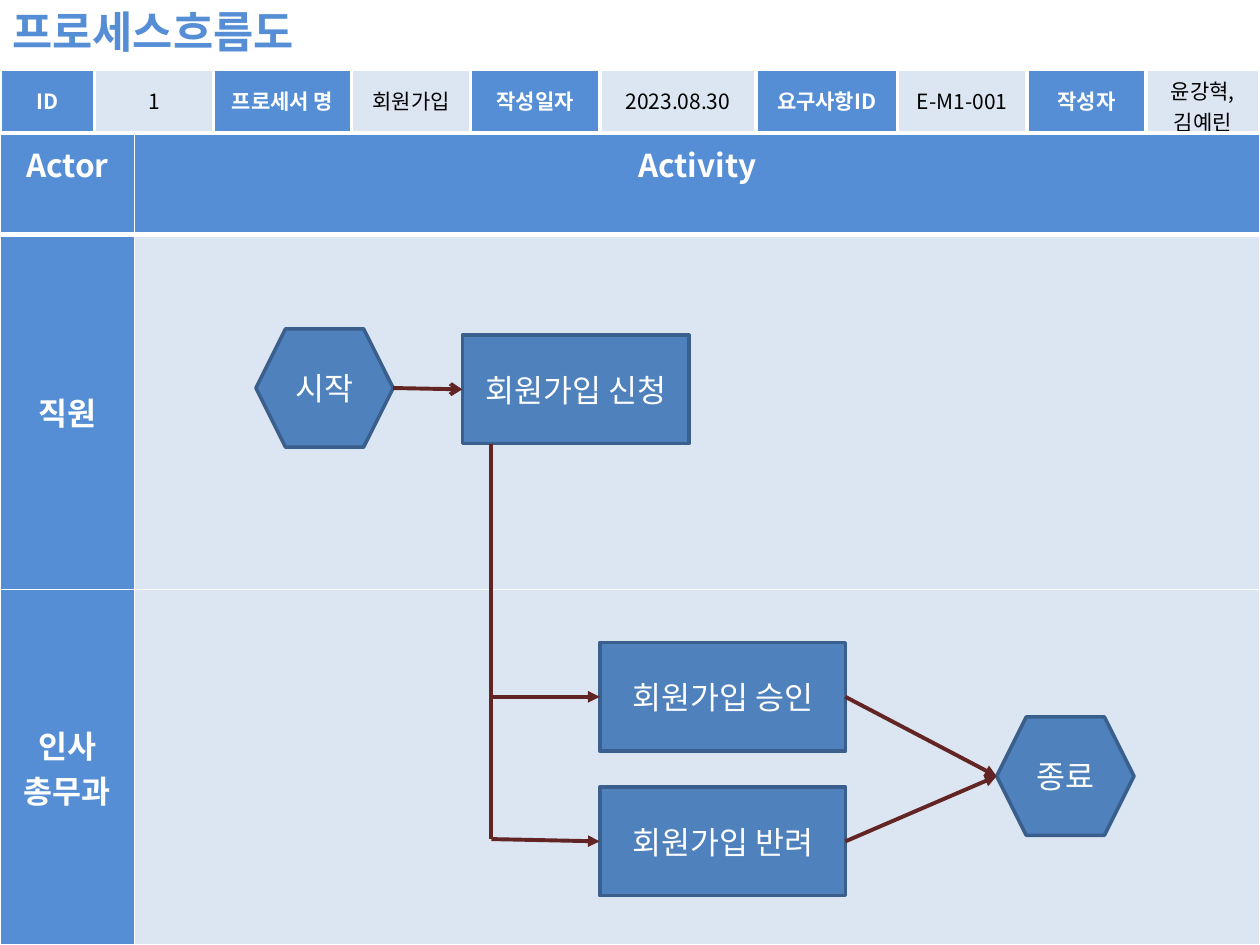
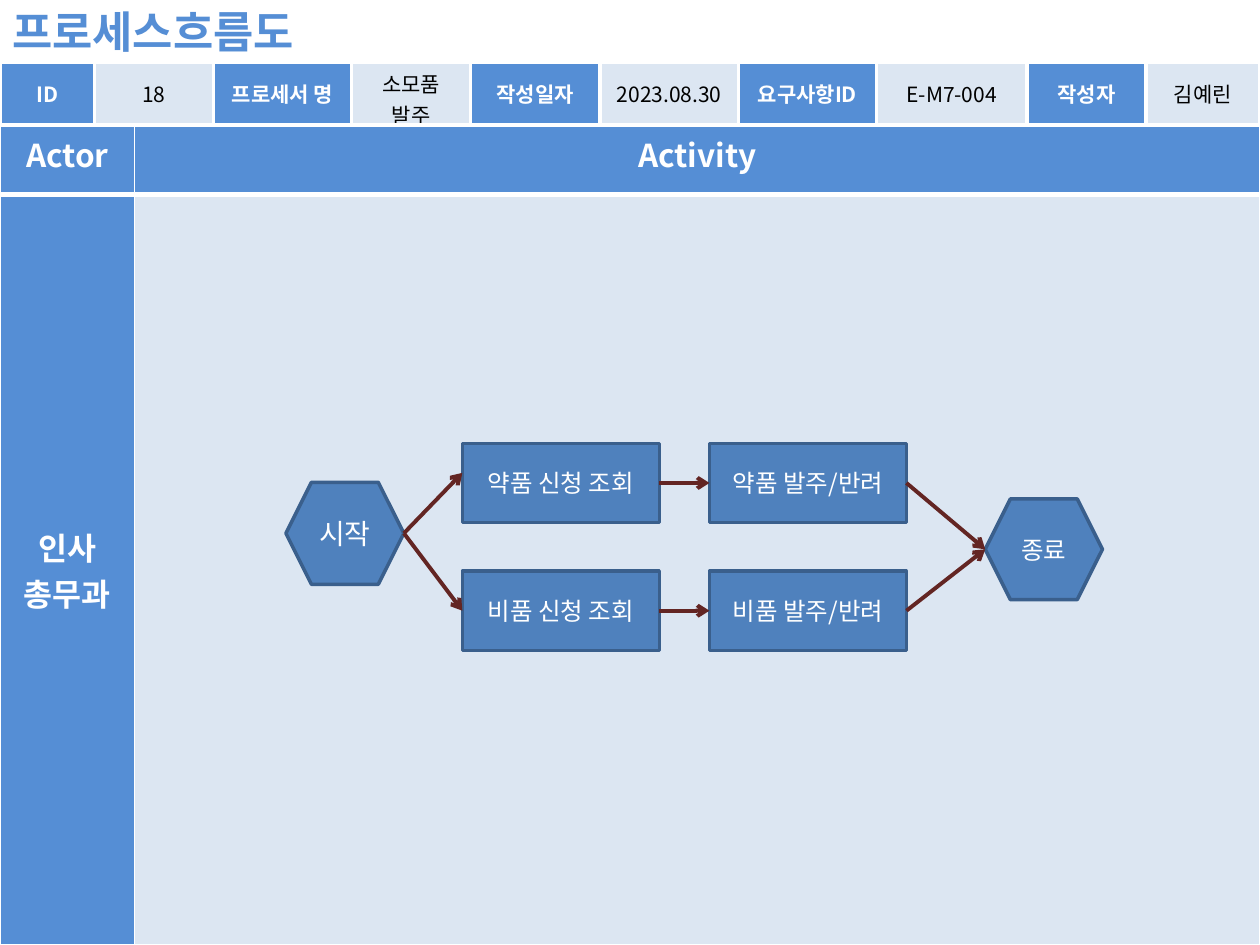
"""Builds two process flow pages with header and swimlane tables."""
from lxml.etree import SubElement
from pptx import Presentation
from pptx.dml.color import RGBColor
from pptx.enum.shapes import MSO_CONNECTOR, MSO_SHAPE
from pptx.enum.text import MSO_ANCHOR, MSO_AUTO_SIZE, PP_ALIGN
from pptx.oxml.ns import qn
from pptx.util import Pt

FONT = "Noto Sans CJK KR"
WHITE, BLACK = "FFFFFF", "000000"
LABEL_FILL, VALUE_FILL = "558ED5", "DCE6F2"
NODE_FILL, NODE_LINE, LINK_COLOUR = "4F81BD", "3A5F8C", "632523"
PAGE_WIDTH, PAGE_HEIGHT = 720, 540
ACTOR_WIDTH = 77
HEADER_LABELS = ["ID", "프로세서 명", "작성일자", "요구사항ID", "작성자"]
LEFT, RIGHT = 1, 3


def colour(hex_text):
    """Return the colour for a hex string."""
    return RGBColor.from_string(hex_text)


def paint(target, hex_text):
    """Give a shape or cell a solid fill."""
    target.fill.solid()
    target.fill.fore_color.rgb = colour(hex_text)


def write(frame, text, size, ink, bold=False, align=PP_ALIGN.CENTER):
    """Write each line of text as a paragraph with one run."""
    for index, line in enumerate(text.split("\n")):
        para = frame.add_paragraph() if index else frame.paragraphs[0]
        para.alignment = align
        span = para.add_run()
        span.text = line
        span.font.name = FONT
        span.font.size = Pt(size)
        span.font.bold = bold
        span.font.color.rgb = colour(ink)
        SubElement(span._r.get_or_add_rPr(), qn("a:ea"), typeface=FONT)


def add_title(page):
    """Add the title shared by the pages."""
    box = page.shapes.add_textbox(Pt(0), Pt(-0.7), Pt(191.5), Pt(37.4))
    box.text_frame.word_wrap = False
    box.text_frame.auto_size = MSO_AUTO_SIZE.SHAPE_TO_FIT_TEXT
    write(box.text_frame, "프로세스흐름도", 25, LABEL_FILL, True, PP_ALIGN.LEFT)


def border_cell(cell, width, top=None, bottom=None):
    """Draw white borders, with other widths at top or bottom if given."""
    properties = cell._tc.get_or_add_tcPr()
    widths = {"L": width, "R": width, "T": top or width, "B": bottom or width}
    for side, points in widths.items():
        line = SubElement(properties, qn(f"a:ln{side}"), w=str(Pt(points)))
        fill = SubElement(line, qn("a:solidFill"))
        SubElement(fill, qn("a:srgbClr"), val=WHITE)


def add_grid(page, top, columns, rows):
    """Add a plain table of the given column widths and row heights."""
    holder = page.shapes.add_table(len(rows), len(columns), Pt(0), Pt(top),
                                   Pt(sum(columns)), Pt(sum(rows)))
    table = holder.table
    table.first_row = table.horz_banding = False
    for column, width in zip(table.columns, columns):
        column.width = Pt(width)
    for row, height in zip(table.rows, rows):
        row.height = Pt(height)
    return holder


def add_header(page, top, columns, values):
    """Add the table of labels and values under the title."""
    holder = add_grid(page, top, columns, [32.4])
    holder.height = Pt(36)
    pairs = zip(HEADER_LABELS, values)
    for index, text in enumerate(text for pair in pairs for text in pair):
        is_label = index % 2 == 0
        cell = holder.table.cell(0, index)
        cell.vertical_anchor = MSO_ANCHOR.MIDDLE
        border_cell(cell, 2.25)
        paint(cell, LABEL_FILL if is_label else VALUE_FILL)
        write(cell.text_frame, text, 12, WHITE if is_label else BLACK, is_label)


def add_lanes(page, top, heading_height, actors):
    """Add the table with one equal lane for each actor."""
    lane_height = (PAGE_HEIGHT - top - heading_height) / len(actors)
    table = add_grid(page, top, [ACTOR_WIDTH, PAGE_WIDTH - ACTOR_WIDTH],
                     [heading_height] + [lane_height] * len(actors)).table
    for column, heading in enumerate(["Actor", "Activity"]):
        cell = table.cell(0, column)
        border_cell(cell, 1, bottom=3)
        paint(cell, LABEL_FILL)
        write(cell.text_frame, heading, 18, WHITE, True)
    for row, actor in enumerate(actors, 1):
        name, lane = table.cell(row, 0), table.cell(row, 1)
        for cell, fill in ((name, LABEL_FILL), (lane, VALUE_FILL)):
            border_cell(cell, 1, top=3 if row == 1 else 1)
            paint(cell, fill)
        name.vertical_anchor = MSO_ANCHOR.MIDDLE
        write(name.text_frame, actor, 18, WHITE, True)


def add_node(page, kind, text, size, left, top, width, height):
    """Add a flow step."""
    box = page.shapes.add_shape(kind, Pt(left), Pt(top), Pt(width), Pt(height))
    box.shadow.inherit = False
    paint(box, NODE_FILL)
    box.line.color.rgb = colour(NODE_LINE)
    box.line.width = Pt(2)
    box.text_frame.word_wrap = True
    box.text_frame.vertical_anchor = MSO_ANCHOR.MIDDLE
    write(box.text_frame, text, size, WHITE)
    return box


def side_point(end, side):
    """Return a point as lengths, taking the side's middle for a node."""
    if isinstance(end, tuple):
        return Pt(end[0]), Pt(end[1])
    return end.left + (end.width if side == RIGHT else 0), end.top + end.height // 2


def is_rectangle(end):
    """Tell whether a link end is a rectangle rather than a point or hexagon."""
    return not isinstance(end, tuple) and end.auto_shape_type == MSO_SHAPE.RECTANGLE


def add_link(page, start, end, head=None):
    """Draw a line from a node's right side or a point to a left side or point."""
    line = page.shapes.add_connector(MSO_CONNECTOR.STRAIGHT, *side_point(start, RIGHT),
                                     *side_point(end, LEFT))
    if is_rectangle(start):
        line.begin_connect(start, RIGHT)
    if is_rectangle(end):
        line.end_connect(end, LEFT)
    line.line.color.rgb = colour(LINK_COLOUR)
    line.line.width = Pt(2.25)
    if head:
        SubElement(line.line._get_or_add_ln(), qn("a:tailEnd"), type=head)
    SubElement(line._element.spPr, qn("a:effectLst"))


def add_page(deck, header_top, columns, values, lanes_top, heading_height, actors):
    """Add a page with its title, header table and lanes."""
    page = deck.slides.add_slide(deck.slide_layouts[6])
    add_title(page)
    add_lanes(page, lanes_top, heading_height, actors)
    add_header(page, header_top, columns, values)
    return page


def add_signup_flow(page):
    """Draw the membership sign-up flow."""
    hexagon, rectangle = MSO_SHAPE.HEXAGON, MSO_SHAPE.RECTANGLE
    start = add_node(page, hexagon, "시작", 18, 146.2, 187.9, 78.5, 67.7)
    request = add_node(page, rectangle, "회원가입 신청", 18, 264.2, 191.5, 129.6, 62)
    approve, reject = [
        add_node(page, rectangle, text, 18, 342.7, top, 140.4, 62)
        for text, top in (("회원가입 승인", 367.2), ("회원가입 반려", 449.8))]
    finish = add_node(page, hexagon, "종료", 18, 569.5, 409.7, 78.5, 67.7)
    trunk, trunk_end = 280.8, 479.5
    add_link(page, start, request, "arrow")
    add_link(page, (trunk, 253.5), (trunk, trunk_end))
    for result, branch in ((approve, 398.2), (reject, trunk_end)):
        add_link(page, (trunk, branch), result, "triangle")
        add_link(page, result, finish, "triangle")


def add_order_flow(page):
    """Draw the supply order flow."""
    start = add_node(page, MSO_SHAPE.HEXAGON, "시작", 16, 163.4, 275.6, 67.4, 58.3)
    finish = add_node(page, MSO_SHAPE.HEXAGON, "종료", 14, 563, 285.1, 67, 57.6)
    for row, item in enumerate(["약품", "비품"]):
        check, order = [
            add_node(page, MSO_SHAPE.RECTANGLE, f"{item} {step}", 14,
                     264.2 + column * 141.2, 253.4 + row * 73, 112.6, 45.2)
            for column, step in enumerate(["신청 조회", "발주/반려"])]
        add_link(page, start, check if row else (264.2, 270.2), "arrow")
        add_link(page, check, order, "arrow")
        add_link(page, order, finish, "arrow")


def main():
    """Build and save the deck."""
    deck = Presentation()
    deck.slide_width, deck.slide_height = Pt(PAGE_WIDTH), Pt(PAGE_HEIGHT)
    signup = add_page(
        deck, 39.6, [54, 68, 79, 68, 74, 89, 81, 74, 68, 65],
        ["1", "회원가입", "2023.08.30", "E-M1-001", "윤강혁,\n김예린"],
        77, 57, ["직원", "인사\n총무과"])
    add_signup_flow(signup)
    order = add_page(
        deck, 35.5, [54, 68, 79, 68, 74, 79, 79, 86, 68, 65],
        ["18", "소모품\n발주", "2023.08.30", "E-M7-004", "김예린"],
        71.5, 39.5, ["인사\n총무과"])
    add_order_flow(order)
    deck.save("out.pptx")


if __name__ == "__main__":
    main()
